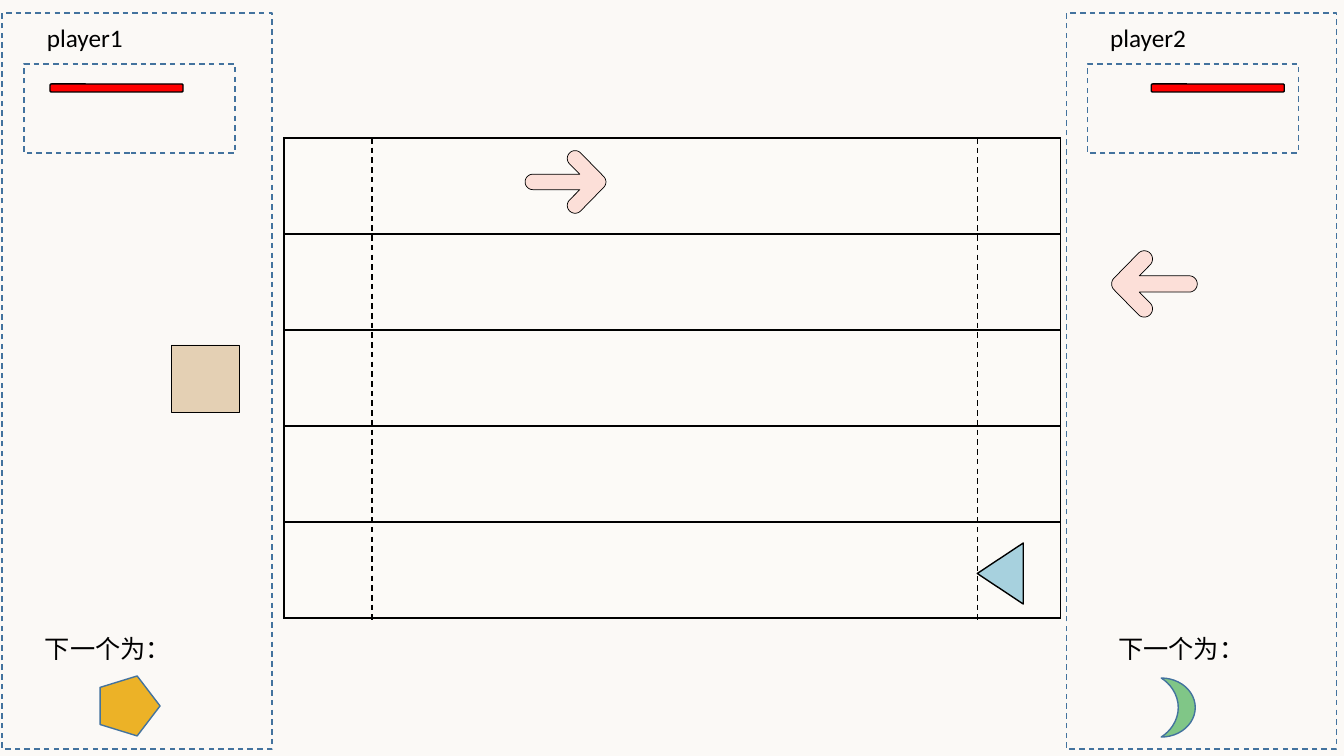
from dataclasses import dataclass
from math import cos, radians, sin

from lxml.etree import SubElement
from pptx import Presentation
from pptx.dml.color import RGBColor
from pptx.enum.dml import MSO_LINE
from pptx.enum.shapes import MSO_CONNECTOR, MSO_SHAPE
from pptx.oxml.ns import qn
from pptx.util import Emu, Inches, Pt

Point = tuple[float, float]


@dataclass(frozen=True)
class Theme:
    font: str = "Calibri"
    text_size: float = 18
    thin: float = 0.5
    line: float = 1
    ink: str = "000000"
    frame: str = "43739E"
    background: str = "F9F5EF"
    lane: str = "FCFAF7"
    arrow: str = "FCDFD8"
    triangle: str = "A7D1DE"
    square: str = "E4D0B4"
    health: str = "FF0000"
    pentagon: str = "ECB227"
    moon: str = "80C687"


@dataclass(frozen=True)
class Box:
    left: int
    top: int
    width: int
    height: int

    def emu(self) -> tuple[Emu, Emu, Emu, Emu]:
        return px(self.left), px(self.top), px(self.width), px(self.height)


@dataclass(frozen=True)
class Player:
    name: str
    panel_left: int
    name_left: int
    stats_left: int
    health_left: int
    next_left: int


THEME = Theme()
SCALE = 914400 / 100.8
LANES = Box(284, 138, 776, 480)
LANE_COUNT = 5
GUIDES = (372, 977)
PLAYERS = (
    Player("player1", 2, 37, 24, 50, 35),
    Player("player2", 1066, 1100, 1087, 1151, 1108),
)


def px(length: float) -> Emu:
    return Emu(round(length * SCALE))


def color(value: str) -> RGBColor:
    return RGBColor.from_string(value)


def style(shape, fill: str | None, line: str, width: float) -> None:
    shape.shadow.inherit = False
    if fill:
        shape.fill.solid()
        shape.fill.fore_color.rgb = color(fill)
    else:
        shape.fill.background()
    shape.line.color.rgb = color(line)
    shape.line.width = Pt(width)


def add_preset(page, kind, box: Box, fill: str | None, line: str, width: float = THEME.line):
    shape = page.shapes.add_shape(kind, *box.emu())
    style(shape, fill, line, width)
    return shape


def add_frame(page, box: Box) -> None:
    frame = add_preset(page, MSO_SHAPE.RECTANGLE, box, None, THEME.frame)
    frame.line.dash_style = MSO_LINE.DASH


def add_outline(page, points: list[Point], fill: str, width: float) -> None:
    corners = [(px(x), px(y)) for x, y in points]
    builder = page.shapes.build_freeform(*corners[0], scale=1.0)
    builder.add_line_segments(corners[1:], close=True)
    style(builder.convert_to_shape(), fill, THEME.ink, width)


def add_label(page, text: str, box: Box) -> None:
    label = page.shapes.add_textbox(*box.emu())
    label.text_frame.word_wrap = True
    para = label.text_frame.paragraphs[0]
    para.text = text
    span = para.runs[0]
    span.font.name = THEME.font
    span.font.size = Pt(THEME.text_size)
    span.font.color.rgb = color(THEME.ink)


def arc(x: float, y: float, radius: float, start: int, end: int) -> list[Point]:
    angles = [radians(angle) for angle in range(start, end + 1, 10)]
    return [(x + radius * cos(angle), y + radius * sin(angle)) for angle in angles]


def add_arrow(page, tail: int, middle: int, size: float) -> None:
    """A round-capped arrow; a negative size points it left."""
    outline = [
        *arc(7.7, 0, 7.7, 90, 270),
        (54.7, -7.7),
        *arc(50, -23.5, 7.8, 135, 315),
        *arc(73, 0, 7.8, -45, 45),
        *arc(50, 23.5, 7.8, 45, 225),
        (54.7, 7.7),
    ]
    points = [(tail + size * x, middle + size * y) for x, y in outline]
    add_outline(page, points, THEME.arrow, THEME.thin)


def add_lanes(page) -> None:
    table = page.shapes.add_table(LANE_COUNT, 1, *LANES.emu()).table
    table.first_row = table.horz_banding = False
    for row in table.rows:
        row.height = px(LANES.height / LANE_COUNT)
        cell = row.cells[0]
        properties = cell._tc.get_or_add_tcPr()
        for side in ("a:lnL", "a:lnR", "a:lnT", "a:lnB"):
            border = SubElement(properties, qn(side), w=str(Pt(THEME.line)))
            fill = SubElement(border, qn("a:solidFill"))
            SubElement(fill, qn("a:srgbClr"), val=THEME.ink)
        cell.fill.solid()
        cell.fill.fore_color.rgb = color(THEME.lane)


def add_guide(page, x: int) -> None:
    guide = page.shapes.add_connector(
        MSO_CONNECTOR.STRAIGHT, px(x), px(LANES.top), px(x), px(621))
    guide.line.color.rgb = color(THEME.ink)
    guide.line.width = Pt(THEME.line)
    guide.line.dash_style = MSO_LINE.DASH
    SubElement(guide._element.spPr, qn("a:effectLst"))


def add_player(page, player: Player) -> None:
    add_frame(page, Box(player.panel_left, 13, 270, 736))
    add_frame(page, Box(player.stats_left, 64, 211, 89))
    add_preset(page, MSO_SHAPE.ROUNDED_RECTANGLE, Box(player.health_left, 84, 133, 8),
               THEME.health, THEME.ink)
    add_label(page, player.name, Box(player.name_left, 17, 205, 40))
    add_label(page, "下一个为：", Box(player.next_left, 628, 163, 40))


# Deck and half-transparent background
deck = Presentation()
deck.slide_width, deck.slide_height = Inches(13.33), Inches(7.5)
page = deck.slides.add_slide(deck.slide_layouts[6])
page.background.fill.solid()
page.background.fill.fore_color.rgb = color(THEME.background)
backdrop = page._element.find(".//" + qn("p:bg")).find(".//" + qn("a:srgbClr"))
SubElement(backdrop, qn("a:alpha"), val="50000")

# Lanes and the pieces in play
add_lanes(page)
add_arrow(page, 525, 182, 1)
add_arrow(page, 1197, 284, -1.06)
add_outline(page, [(1023, 543), (1023, 604), (977, 573.5)], THEME.triangle, THEME.line)
add_preset(page, MSO_SHAPE.RECTANGLE, Box(171, 345, 68, 67),
           THEME.square, THEME.ink, THEME.thin)
for guide_x in GUIDES:
    add_guide(page, guide_x)

# Player panels
for player in PLAYERS:
    add_player(page, player)

# Next pieces
pentagon = add_preset(page, MSO_SHAPE.REGULAR_PENTAGON, Box(100, 676, 60, 60),
                      THEME.pentagon, THEME.frame)
pentagon.rotation = 90
moon = add_preset(page, MSO_SHAPE.MOON, Box(1161, 678, 34, 59), THEME.moon, THEME.frame)
moon._element.spPr.find(qn("a:xfrm")).set("flipH", "1")

deck.save("out.pptx")
